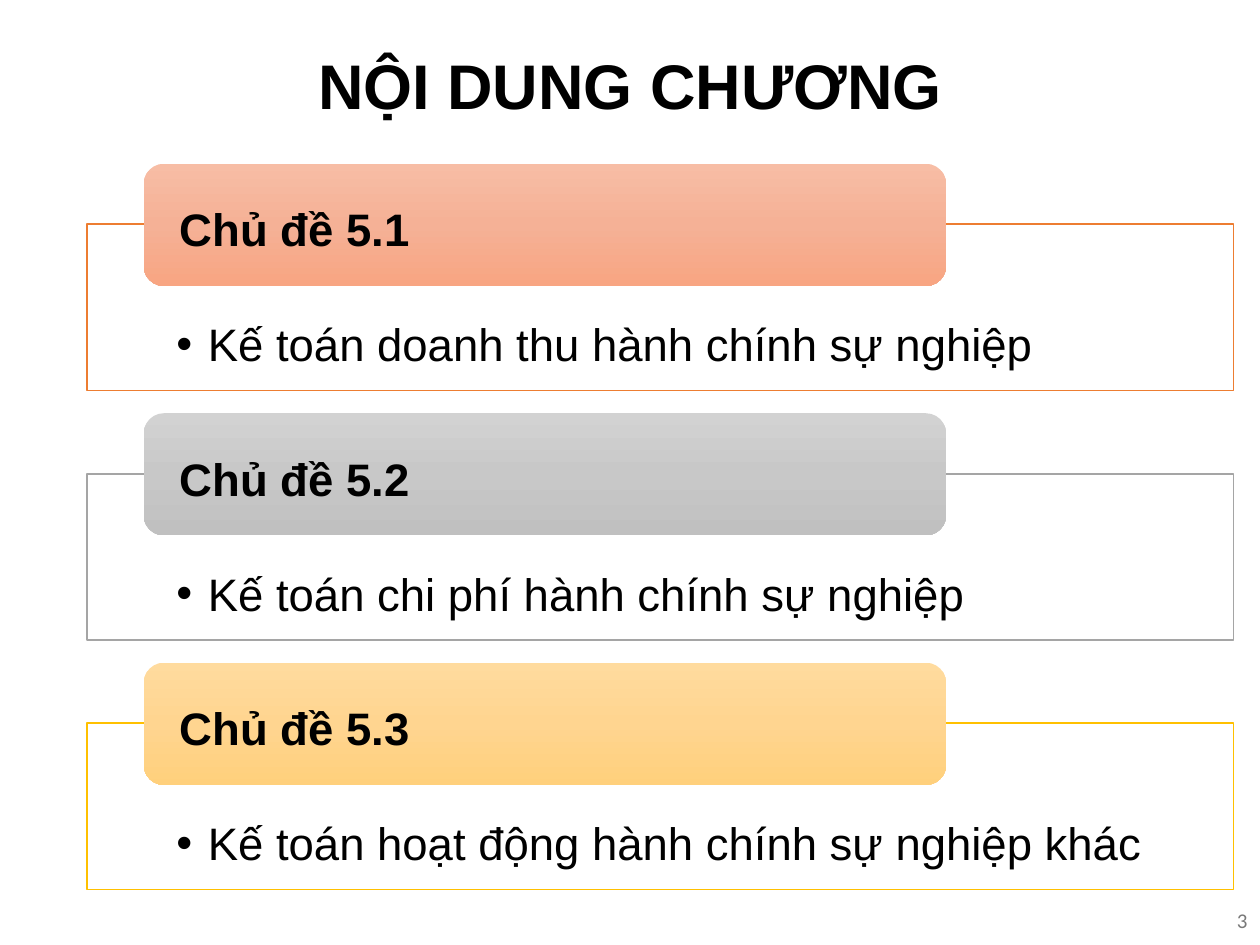
from copy import deepcopy

from lxml.etree import SubElement
from pptx import Presentation
from pptx.dml.color import RGBColor
from pptx.enum.shapes import MSO_SHAPE
from pptx.enum.text import MSO_ANCHOR, PP_ALIGN
from pptx.oxml.ns import qn
from pptx.util import Inches, Pt

COLORS = {
    "text": "000000",
    "number": "797979",
    "white": "FFFFFF",
    "orange": "ED7D31",
    "gray": "A5A5A5",
    "gold": "FFC000",
}
GRADIENTS = {
    "orange": ["F7BDA5", "F5B196", "F8A582"],
    "gray": ["D2D2D2", "C8C8C8", "C0C0C0"],
    "gold": ["FFDB9E", "FFD590", "FFD07C"],
}
TOPICS = [
    ("orange", "Chủ đề 5.1", "Kế toán doanh thu hành chính sự nghiệp"),
    ("gray", "Chủ đề 5.2", "Kế toán chi phí hành chính sự nghiệp"),
    ("gold", "Chủ đề 5.3", "Kế toán hoạt động hành chính sự nghiệp khác"),
]
FIRST_TOP = 1.3
TOPIC_STEP = 1.98
BOX_OFFSET = 0.48


def set_text(shape, text, size, alignment, anchor, margins, font="Arial", color="text", bold=False):
    frame = shape.text_frame
    frame.word_wrap = True
    frame.vertical_anchor = anchor
    frame.margin_left, frame.margin_top, frame.margin_right, frame.margin_bottom = map(Inches, margins)
    paragraph = frame.paragraphs[0]
    paragraph.alignment = alignment
    run = paragraph.add_run()
    run.text = text
    run.font.name = font
    run.font.size = Pt(size)
    run.font.bold = bold
    run.font.color.rgb = RGBColor.from_string(COLORS[color])
    return paragraph


def fill_gradient(shape, colors):
    shape.fill.gradient()
    shape.fill.gradient_angle = 270
    stop_list = shape._element.spPr.find(qn("a:gradFill")).find(qn("a:gsLst"))
    stop_list.insert(1, deepcopy(stop_list[0]))
    for index, (stop, color) in enumerate(zip(shape.fill.gradient_stops, colors)):
        stop.position = index / 2
        stop.color.rgb = RGBColor.from_string(color)


presentation = Presentation()
presentation.slide_width = Inches(10)
presentation.slide_height = Inches(7.5)
slide = presentation.slides.add_slide(presentation.slide_layouts[5])

title = slide.shapes.title
title.left, title.top, title.width, title.height = map(Inches, (0.69, 0.15, 8.62, 1.11))
paragraph = set_text(title, "NỘI DUNG CHƯƠNG", 36, PP_ALIGN.CENTER, MSO_ANCHOR.MIDDLE,
                     (0.1, 0.05, 0.1, 0.05), bold=True)
paragraph.line_spacing = 0.9

for index, (color, heading, detail) in enumerate(TOPICS):
    top = FIRST_TOP + index * TOPIC_STEP

    box = slide.shapes.add_shape(MSO_SHAPE.RECTANGLE, Inches(0.69), Inches(top + BOX_OFFSET),
                                 Inches(9.1), Inches(1.32))
    box.shadow.inherit = False
    box.fill.solid()
    box.fill.fore_color.rgb = RGBColor.from_string(COLORS["white"])
    box.line.color.rgb = RGBColor.from_string(COLORS[color])
    box.line.width = Pt(1)
    paragraph = set_text(box, detail, 26, PP_ALIGN.JUSTIFY, MSO_ANCHOR.TOP, (0.71, 0.73, 0.71, 0.15))
    properties = paragraph._p.get_or_add_pPr()
    properties.set("marL", str(Inches(0.25)))
    properties.set("indent", str(-Inches(0.25)))
    SubElement(properties, qn("a:buFont")).set("typeface", "Arial")
    SubElement(properties, qn("a:buChar")).set("char", "•")

    tab = slide.shapes.add_shape(MSO_SHAPE.ROUNDED_RECTANGLE, Inches(1.14), Inches(top),
                                 Inches(6.37), Inches(0.97))
    tab.shadow.inherit = False
    tab.line.fill.background()
    fill_gradient(tab, GRADIENTS[color])
    set_text(tab, heading, 26, PP_ALIGN.JUSTIFY, MSO_ANCHOR.MIDDLE, (0.24, 0.06, 0.24, 0), bold=True)

slide_number = slide.shapes.add_textbox(Inches(7.75), Inches(7.1), Inches(2.25), Inches(0.4))
set_text(slide_number, "3", 12, PP_ALIGN.RIGHT, MSO_ANCHOR.MIDDLE, (0.1, 0.05, 0.1, 0.05),
         font="Calibri", color="number")

presentation.save("out.pptx")
